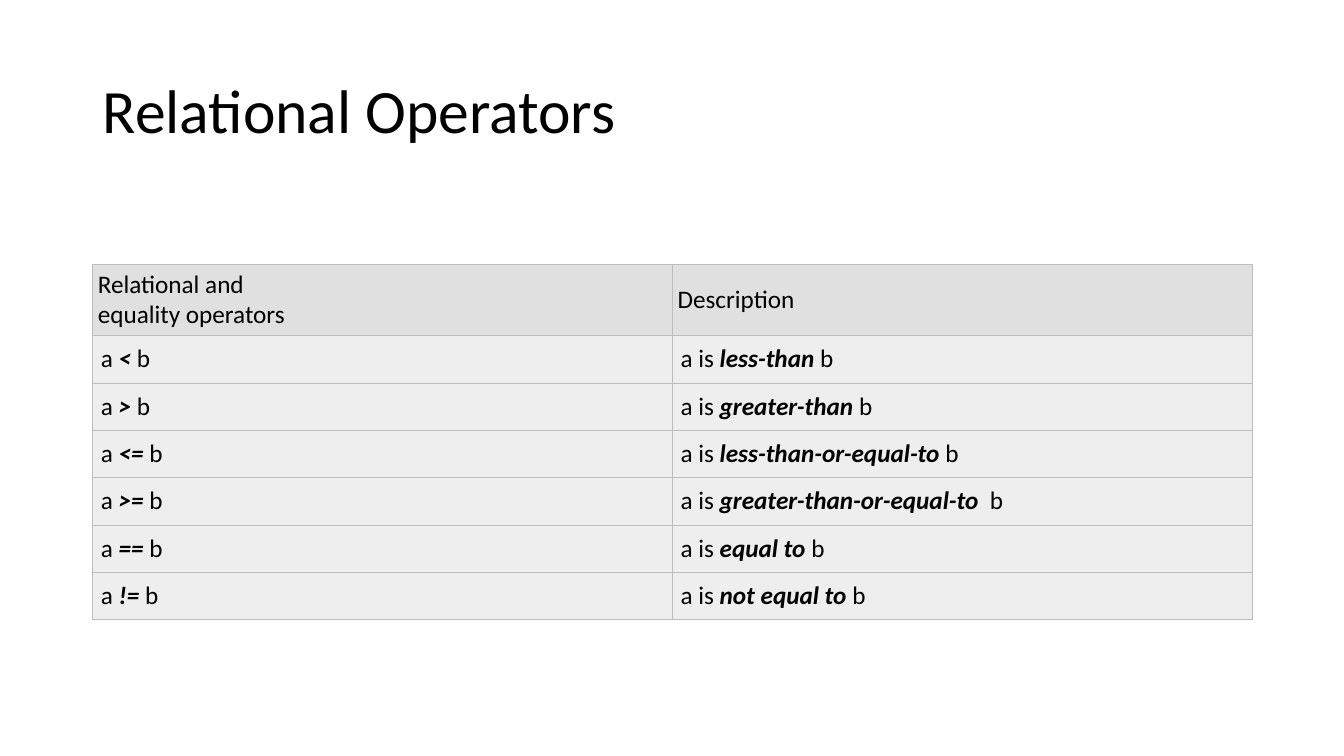
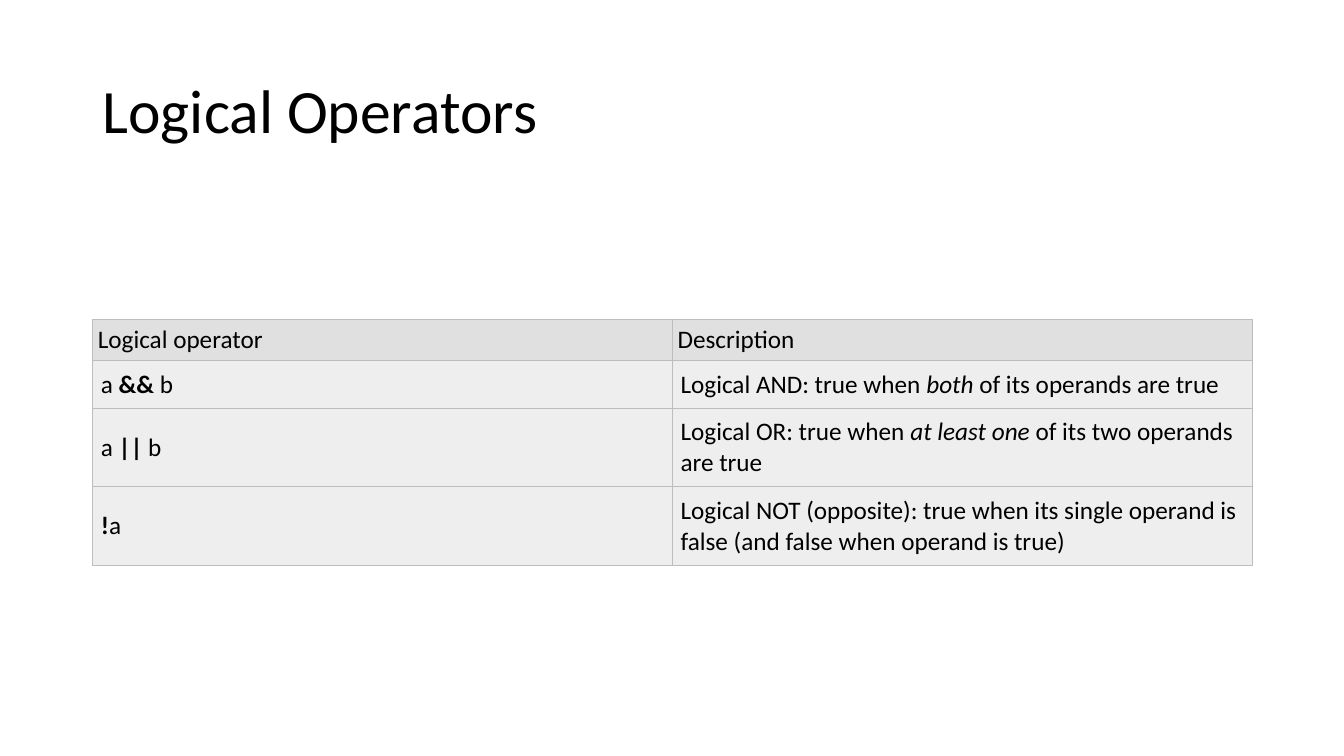
from lxml import etree
from pptx import Presentation
from pptx.dml.color import RGBColor
from pptx.enum.text import MSO_ANCHOR
from pptx.oxml.ns import qn
from pptx.util import Inches, Pt

MIDDLE = MSO_ANCHOR.MIDDLE
FONT = "Calibri"
BLACK = RGBColor(0x00, 0x00, 0x00)
HEADER_FILL = RGBColor(0xE0, 0xE0, 0xE0)
BODY_FILL = RGBColor(0xEE, 0xEE, 0xEE)
BORDER = RGBColor(0xBD, 0xBD, 0xBD)
LEFT, WIDTH = Inches(0.92), Inches(11.5)
HEADER_MARGIN, BODY_MARGIN = Inches(0.05), Inches(0.08)

# Body cells are (before, emphasised, after); each column has its own emphasis.
COMPARISONS = [
    ("<", "less-than", " b"),
    (">", "greater-than", " b"),
    ("<=", "less-than-or-equal-to", " b"),
    (">=", "greater-than-or-equal-to", "  b"),
    ("==", "equal to", " b"),
    ("!=", "not equal to", " b"),
]
TOPICS = [
    {
        "title": "Relational Operators",
        "top": 2.62,
        "header": ("Relational and \nequality operators", "Description"),
        "rows": [(("a ", sign, " b"), ("a is ", meaning, ending))
                 for sign, meaning, ending in COMPARISONS],
        "heights": [0.71] + [0.47] * len(COMPARISONS),
        "emphasis": ({"bold", "italic"}, {"bold", "italic"}),
    },
    {
        "title": "Logical Operators",
        "top": 3.17,
        "header": ("Logical operator", "Description"),
        "rows": [
            (("a ", "&&", " b"),
             ("Logical AND: true when ", "both", " of its operands are true")),
            (("a ", "||", " b"),
             ("Logical OR: true when ", "at least one",
              " of its two operands are true")),
            (("", "!", "a"),
             ("Logical NOT (opposite): true when its single operand is false "
              "(and false when operand is true)",)),
        ],
        "heights": [0.41, 0.47, 0.78, 0.78],
        "emphasis": ({"bold"}, {"italic"}),
    },
]


def add_run(paragraph, text, size, emphasis=()):
    """Add styled text, turning each newline into a line break."""
    for number, line in enumerate(text.split("\n")):
        if number:
            paragraph.add_line_break()
        run = paragraph.add_run()
        run.text = line
        run.font.name = FONT
        run.font.size = Pt(size)
        run.font.color.rgb = BLACK
        run.font.bold = "bold" in emphasis
        run.font.italic = "italic" in emphasis


def style_cell(cell, fill, margin):
    cell.vertical_anchor = MIDDLE
    cell.margin_left = cell.margin_right = margin
    cell.margin_top = cell.margin_bottom = margin
    properties = cell._tc.get_or_add_tcPr()
    for side in ("a:lnL", "a:lnR", "a:lnT", "a:lnB"):
        line = etree.SubElement(properties, qn(side), w=str(Pt(0.75)))
        solid = etree.SubElement(line, qn("a:solidFill"))
        etree.SubElement(solid, qn("a:srgbClr"), val=str(BORDER))
    cell.fill.solid()
    cell.fill.fore_color.rgb = fill


prs = Presentation()
prs.slide_width, prs.slide_height = Inches(13.33), Inches(7.5)
blank = prs.slide_layouts[6]

for topic in TOPICS:
    slide = prs.slides.add_slide(blank)

    title = slide.shapes.add_textbox(LEFT, Inches(0.4), WIDTH, Inches(1.45)).text_frame
    title.word_wrap = True
    title.vertical_anchor = MIDDLE
    title.paragraphs[0].line_spacing = 0.9
    add_run(title.paragraphs[0], topic["title"], 44)

    heights = [Inches(height) for height in topic["heights"]]
    operators = slide.shapes.add_table(
        len(heights), 2, LEFT, Inches(topic["top"]), WIDTH, sum(heights)).table
    operators.horz_banding = False
    for row, height in zip(operators.rows, heights):
        row.height = height

    for column, heading in enumerate(topic["header"]):
        cell = operators.cell(0, column)
        style_cell(cell, HEADER_FILL, HEADER_MARGIN)
        add_run(cell.text_frame.paragraphs[0], heading, 18)

    for row, entries in enumerate(topic["rows"], start=1):
        for column, parts in enumerate(entries):
            cell = operators.cell(row, column)
            style_cell(cell, BODY_FILL, BODY_MARGIN)
            for position, part in enumerate(parts):
                if part:
                    emphasis = topic["emphasis"][column] if position == 1 else ()
                    add_run(cell.text_frame.paragraphs[0], part, 18, emphasis)

prs.save("out.pptx")
